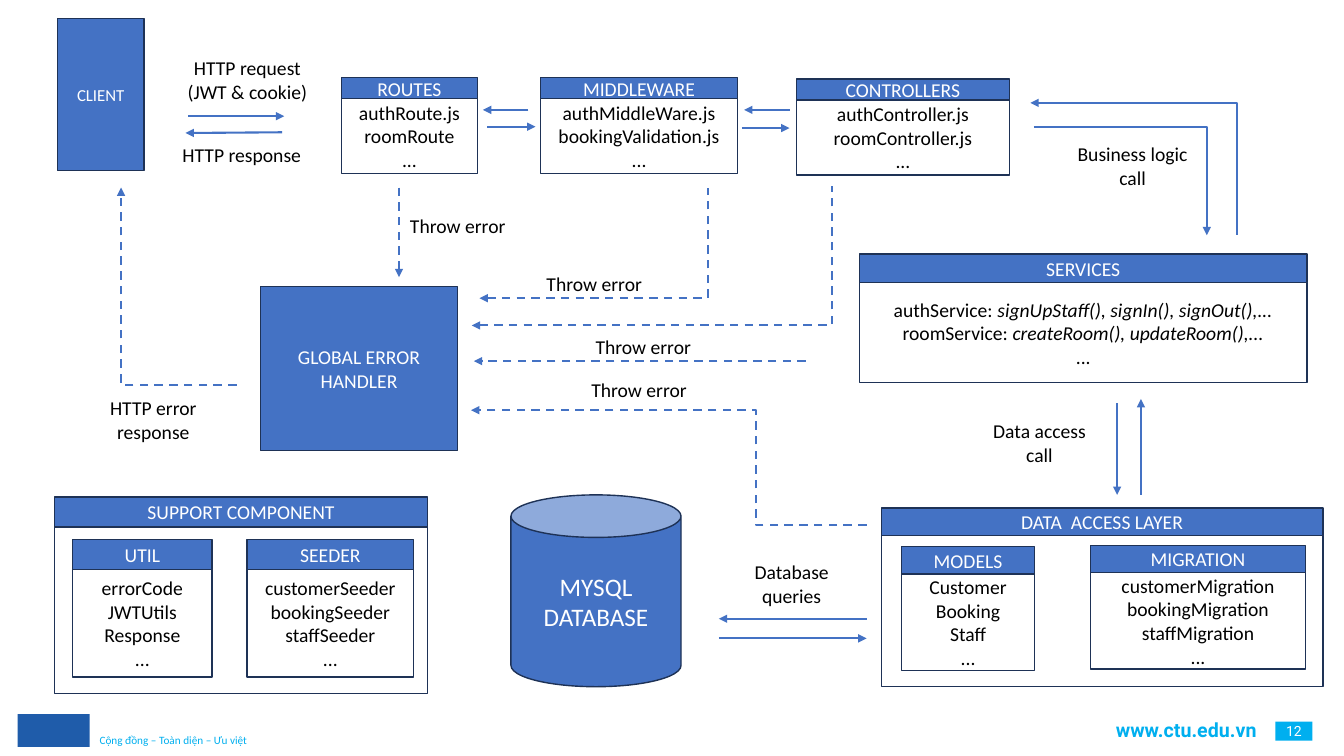
from dataclasses import dataclass

from lxml.etree import SubElement
from pptx import Presentation
from pptx.dml.color import RGBColor
from pptx.enum.dml import MSO_LINE
from pptx.enum.shapes import MSO_CONNECTOR, MSO_SHAPE
from pptx.enum.text import MSO_ANCHOR, PP_ALIGN
from pptx.oxml.ns import qn
from pptx.util import Pt


@dataclass(frozen=True)
class Theme:
    """Colours, fonts and type sizes of the slide."""
    blue: str = "4472C4"
    edge: str = "1E3256"
    white: str = "FFFFFF"
    black: str = "000000"
    navy: str = "1F5CAA"
    sky: str = "00AFEF"
    font: str = "Calibri"
    brand: str = "Roboto"
    tiny: int = 8
    page: int = 10
    small: int = 12
    text: int = 14
    large: int = 18


T = Theme()


def write(shape, text, size=T.text, color=T.black, font=T.font, bold=False,
          align=PP_ALIGN.CENTER, anchor=MSO_ANCHOR.MIDDLE, wrap=True):
    """Fill a shape with text; parts between bars are italic."""
    frame = shape.text_frame
    frame.word_wrap = wrap
    frame.vertical_anchor = anchor
    for row, line in enumerate(text.split("\n")):
        para = frame.paragraphs[0] if row == 0 else frame.add_paragraph()
        para.alignment = align
        for turn, part in enumerate(line.split("|")):
            if part:
                run = para.add_run()
                run.text = part
                run.font.size = Pt(size)
                run.font.name = font
                run.font.bold = bold
                run.font.italic = turn % 2 == 1
                run.font.color.rgb = RGBColor.from_string(color)


def block(slide, x, y, w, h, text="", fill=T.blue, edge=T.edge,
          kind=MSO_SHAPE.RECTANGLE, color=T.white, **form):
    """Draw a filled shape with centred text."""
    shape = slide.shapes.add_shape(kind, Pt(x), Pt(y), Pt(w), Pt(h))
    shape.shadow.inherit = False
    shape.fill.solid()
    shape.fill.fore_color.rgb = RGBColor.from_string(fill)
    if edge:
        shape.line.color.rgb = RGBColor.from_string(edge)
        shape.line.width = Pt(1)
    else:
        shape.line.fill.background()
    if text:
        write(shape, text, color=color, **form)


def card(slide, title, x, y, w, head, body, text=""):
    """Draw a titled card with its body below."""
    block(slide, x, y + head, w, body, text, fill=T.white, color=T.black)
    block(slide, x, y, w, head, title)


def label(slide, text, x, y, w, h=24.5, **form):
    """Place free text."""
    box = slide.shapes.add_textbox(Pt(x), Pt(y), Pt(w), Pt(h))
    write(box, text, anchor=MSO_ANCHOR.TOP, **form)


def arrow(slide, start, end, dash=False, bend=None, tip="tailEnd"):
    """Draw an arrow, with an elbow at the share of its width in bend."""
    kind = MSO_CONNECTOR.STRAIGHT if bend is None else MSO_CONNECTOR.ELBOW
    link = slide.shapes.add_connector(kind, *map(Pt, start + end))
    link.line.color.rgb = RGBColor.from_string(T.blue)
    link.line.width = Pt(1.5)
    if dash:
        link.line.dash_style = MSO_LINE.DASH
    props = link.element.spPr
    SubElement(props.find(qn("a:ln")), qn(f"a:{tip}"), type="triangle")
    SubElement(props, qn("a:effectLst"))
    if bend is not None:
        guides = props.find(qn("a:prstGeom")).find(qn("a:avLst"))
        SubElement(guides, qn("a:gd"), name="adj1", fmla=f"val {round(bend * 100000)}")


def footer(slide):
    """Draw the motto, web address and page number."""
    block(slide, 12.5, 510, 51.5, 23.5, fill=T.navy, edge=None)
    label(slide, "Cộng đồng – Toàn diện – Ưu việt", 64, 520, 151, 17,
          size=T.tiny, color=T.sky, align=PP_ALIGN.LEFT)
    label(slide, "www.ctu.edu.vn", 790, 509, 118, color=T.sky, font=T.brand,
          bold=True, align=PP_ALIGN.LEFT, wrap=False)
    block(slide, 911, 515.5, 26.5, 13.5, "12", fill=T.sky, edge=None,
          size=T.page, font=T.brand, wrap=False)


def main():
    """Build the slide and save it."""
    deck = Presentation()
    deck.slide_width, deck.slide_height = Pt(960), Pt(540)
    slide = deck.slides.add_slide(deck.slide_layouts[6])
    footer(slide)

    block(slide, 41, 13, 62, 109, "CLIENT", size=T.small)
    block(slide, 186, 204.5, 141, 117.5, "GLOBAL ERROR HANDLER")
    block(slide, 365, 353.5, 121.5, 137, "MYSQL\nDATABASE", kind=MSO_SHAPE.CAN,
          size=T.large)

    cards = [
        ("ROUTES", 244, 55.5, 97, 15, 53.5, "authRoute.js\nroomRoute\n..."),
        ("MIDDLEWARE", 386, 55.5, 141, 15, 53.5,
         "authMiddleWare.js\nbookingValidation.js\n..."),
        ("CONTROLLERS", 569, 56.5, 152, 15, 53.5,
         "authController.js\nroomController.js\n..."),
        ("SERVICES", 614, 181.5, 319.5, 20.5, 71.5,
         "authService: |signUpStaff(), signIn(), signOut(),...|\n"
         "roomService: |createRoom(), updateRoom(),...|\n..."),
        ("DATA  ACCESS LAYER", 629.5, 363, 315.5, 19.5, 108),
        ("MODELS", 644, 390.5, 95, 19.5, 69, "Customer\nBooking\nStaff\n..."),
        ("MIGRATION", 779, 389.5, 153.5, 19.5, 69,
         "customerMigration\nbookingMigration\nstaffMigration\n..."),
        ("SUPPORT COMPONENT", 39, 355, 266.5, 21.5, 119),
        ("UTIL", 52, 385.5, 99.5, 21.5, 76.5, "errorCode\nJWTUtils\nResponse\n..."),
        ("SEEDER", 176.5, 385.5, 119, 21.5, 76.5,
         "customerSeeder\nbookingSeeder\nstaffSeeder\n..."),
    ]
    for item in cards:
        card(slide, *item)

    labels = [
        ("HTTP request\n(JWT & cookie)", 110.5, 36.5, 132.5, 41),
        ("HTTP response", 106.5, 98.5, 132.5),
        ("Business logic call", 755.5, 98, 107, 41),
        ("Database queries", 512, 396.5, 107, 41),
        ("Data access call", 696, 296, 93, 41),
        ("HTTP error response", 50.5, 279.5, 118, 41),
    ]
    for item in labels:
        label(slide, *item)
    for x, y in [(273.5, 149), (371, 191), (406, 236), (403, 266.5)]:
        label(slide, "Throw error", x, y, 107)

    calls = [
        ((134.5, 83), (203, 83)), ((201.5, 94.5), (132.5, 95)),
        ((348, 90.5), (382.5, 90.5)), ((377.5, 78.5), (345, 78.5)),
        ((530, 91.5), (564, 91.5)), ((564, 78.5), (531.5, 78.5)),
        ((619, 442), (513.5, 442)), ((513.5, 456), (619, 456)),
        ((798, 288), (798, 353.5)), ((815, 353.5), (815, 285)),
    ]
    for start, end in calls:
        arrow(slide, start, end)
    arrow(slide, (738.5, 90.5), (862, 168), bend=1)
    arrow(slide, (736, 73.5), (883.5, 168), bend=1, tip="headEnd")

    arrow(slide, (285, 134), (285, 198), dash=True)
    arrow(slide, (575.5, 258), (338.5, 258), dash=True)
    arrow(slide, (619, 375), (336.5, 293), dash=True, bend=0.28)
    arrow(slide, (169, 275), (86.5, 134), dash=True, bend=1)
    for tip, tail in [((342.5, 213), (505.5, 134)), ((337, 232.5), (594, 133))]:
        arrow(slide, tip, tail, dash=True, bend=1, tip="headEnd")

    deck.save("out.pptx")


if __name__ == "__main__":
    main()
